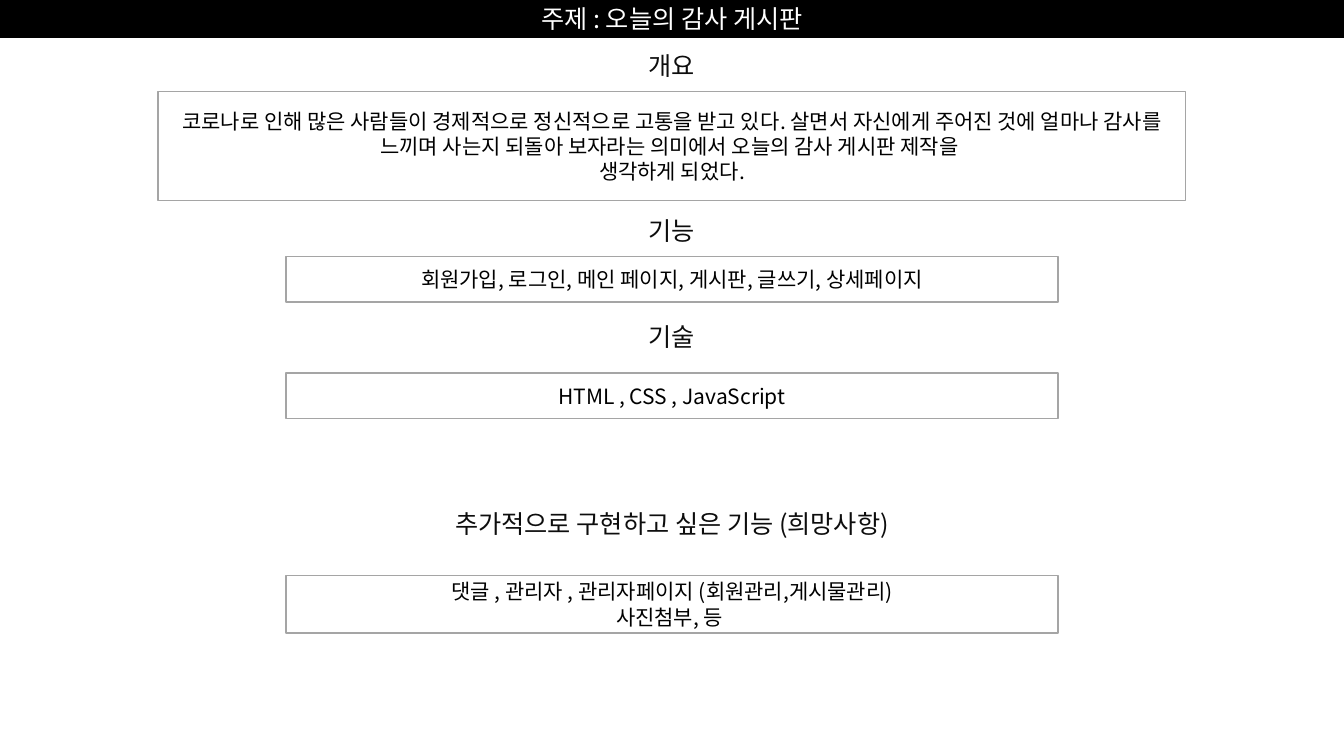
from dataclasses import dataclass

from lxml.etree import SubElement
from pptx import Presentation
from pptx.dml.color import RGBColor
from pptx.enum.shapes import MSO_SHAPE
from pptx.enum.text import MSO_ANCHOR, PP_ALIGN
from pptx.oxml.ns import qn
from pptx.util import Cm, Pt


@dataclass(frozen=True)
class Theme:
    font: str = "Noto Sans CJK KR"
    black: RGBColor = RGBColor(0, 0, 0)
    white: RGBColor = RGBColor(255, 255, 255)
    heading: RGBColor = RGBColor(0x0D, 0x0D, 0x0D)
    border: RGBColor = RGBColor(0xA5, 0xA5, 0xA5)
    heading_size: Pt = Pt(18)
    body_size: Pt = Pt(15)


theme = Theme()
prs = Presentation()
prs.slide_width, prs.slide_height = Cm(33.87), Cm(19.05)
s = prs.slides.add_slide(prs.slide_layouts[6])


def write(sp, text, size, color):
    """Put centred text into a shape, one paragraph per line."""
    tf = sp.text_frame
    tf.word_wrap = True
    tf.text = text
    for p in tf.paragraphs:
        p.alignment = PP_ALIGN.CENTER
        for r in p.runs:
            r.font.name, r.font.size = theme.font, size
            r.font.color.rgb = color
            SubElement(r.font._element, qn("a:ea"), typeface=theme.font)


def add_box(top, width, height, fill, line, text, size, color):
    """Add a bordered rectangle centred across the slide."""
    left = (prs.slide_width - width) // 2
    sp = s.shapes.add_shape(MSO_SHAPE.RECTANGLE, left, top, width, height)
    sp.shadow.inherit = False
    sp.fill.solid()
    sp.fill.fore_color.rgb = fill
    sp.line.color.rgb = line
    sp.line.width = Pt(1)
    sp.text_frame.vertical_anchor = MSO_ANCHOR.MIDDLE
    write(sp, text, size, color)


add_box(0, prs.slide_width, Cm(0.94), theme.black, theme.black,
        "주제 : 오늘의 감사 게시판", theme.heading_size, theme.white)

# heading, its top and width, then box top, width, height and text (cm)
sections = [
    ("개요", 1.14, 4.6, 2.31, 25.9, 2.75,
     "코로나로 인해 많은 사람들이 경제적으로 정신적으로 고통을 받고 있다. "
     "살면서 자신에게 주어진 것에 얼마나 감사를 느끼며 사는지 되돌아 보자라는 "
     "의미에서 오늘의 감사 게시판 제작을 \n생각하게 되었다."),
    ("기능", 5.29, 4.6, 6.47, 19.46, 1.14,
     "회원가입, 로그인, 메인 페이지, 게시판, 글쓰기, 상세페이지"),
    ("기술", 7.97, 4.6, 9.4, 19.46, 1.14, "HTML , CSS , JavaScript"),
    ("추가적으로 구현하고 싶은 기능 (희망사항)", 12.68, 13.18, 14.5, 19.46, 1.45,
     "댓글 , 관리자 , 관리자페이지 (회원관리,게시물관리)\n사진첨부, 등 "),
]
for heading, head_top, head_width, top, width, height, text in sections:
    add_box(Cm(top), Cm(width), Cm(height), theme.white, theme.border,
            text, theme.body_size, theme.black)
    left = (prs.slide_width - Cm(head_width)) // 2
    sp = s.shapes.add_textbox(left, Cm(head_top), Cm(head_width), Cm(1.02))
    write(sp, heading, theme.heading_size, theme.heading)

prs.save("out.pptx")
